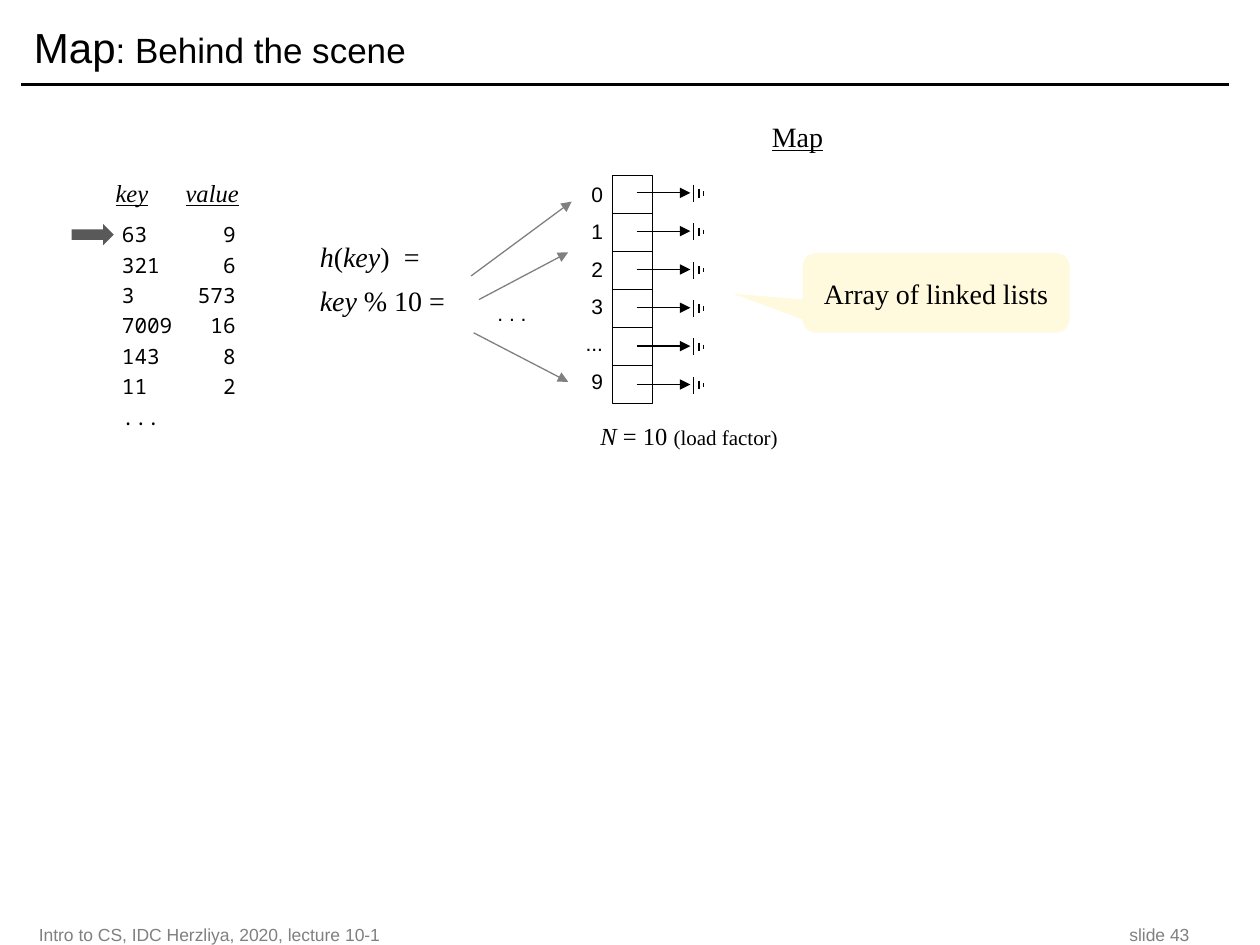
from lxml import etree
from pptx import Presentation
from pptx.dml.color import RGBColor
from pptx.enum import shapes, text
from pptx.oxml import ns
from pptx.util import Pt

BLACK = RGBColor(0, 0, 0)
GRAY = RGBColor(0x80, 0x80, 0x80)
DARK_GRAY = RGBColor(0x59, 0x59, 0x59)
CREAM = RGBColor(0xFF, 0xF9, 0xDD)
SANS, SERIF, MONO = "Arial", "Times New Roman", "Noto Sans Mono"
ENTRIES = [("63", "9"), ("321", "6"), ("3", "573"), ("7009", "16"), ("143", "8"), ("11", "2")]
BUCKETS = ["0", "1", "2", "3", "...", "9"]
ALIGN = text.PP_ALIGN
SHAPE = shapes.MSO_SHAPE


def add_tab(paragraph, position, alignment):
    tabs = etree.SubElement(paragraph._p.get_or_add_pPr(), ns.qn("a:tabLst"))
    etree.SubElement(tabs, ns.qn("a:tab"), pos=str(Pt(position)), algn=alignment)


def write(frame, paragraphs, font, size, color=BLACK, align=ALIGN.LEFT, space=0,
          tab=None, insets=(7.2, 3.6, 7.2, 3.6), anchor=text.MSO_ANCHOR.TOP):
    frame.word_wrap = True
    frame.auto_size = text.MSO_AUTO_SIZE.NONE
    frame.vertical_anchor = anchor
    frame.margin_left, frame.margin_top, frame.margin_right, frame.margin_bottom = map(Pt, insets)
    for index, runs in enumerate(paragraphs):
        paragraph = frame.add_paragraph() if index else frame.paragraphs[0]
        paragraph.alignment = align
        paragraph.space_before = Pt(space if index else 0)
        if tab:
            add_tab(paragraph, *tab)
        for content, style, *own_size in runs:
            run = paragraph.add_run()
            run.text = content
            run.font.name = font
            run.font.size = Pt(own_size[0] if own_size else size)
            run.font.color.rgb = color
            run.font.italic = "i" in style
            run.font.underline = "u" in style


def add_text(slide, box, paragraphs, font, size, **options):
    frame = slide.shapes.add_textbox(*map(Pt, box)).text_frame
    write(frame, paragraphs, font, size, **options)
    return frame


def add_shape(slide, kind, box, fill=None, line=None):
    shape = slide.shapes.add_shape(kind, *map(Pt, box))
    shape.shadow.inherit = False
    if fill is None:
        shape.fill.background()
    else:
        shape.fill.solid()
        shape.fill.fore_color.rgb = fill
    if line is None:
        shape.line.fill.background()
    else:
        shape.line.color.rgb = line
        shape.line.width = Pt(0.75)
    return shape


def add_line(slide, x1, y1, x2, y2, color=BLACK, width=0.75, arrow=False):
    line = slide.shapes.add_connector(shapes.MSO_CONNECTOR.STRAIGHT, *map(Pt, (x1, y1, x2, y2)))
    line.line.color.rgb = color
    line.line.width = Pt(width)
    if arrow:
        etree.SubElement(line.line._get_or_add_ln(), ns.qn("a:tailEnd"), type="triangle")
    etree.SubElement(line._element.spPr, ns.qn("a:effectLst"))


def add_heading(slide, left, top, width, height):
    title = slide.shapes.title
    title.left, title.top, title.width, title.height = map(Pt, (left, top, width, height))
    write(title.text_frame, [[("Map", "", 24), (": Behind the scene", "")]], SANS, 20,
          anchor=text.MSO_ANCHOR.MIDDLE)
    line_y = top + height + 0.6
    add_line(slide, left, line_y, left + width, line_y, width=2)


def add_footer(slide, box):
    add_text(slide, box, [[("Intro to CS, IDC Herzliya, 2020, lecture 10-1\tslide 43", "")]],
             SANS, 10, color=GRAY, tab=(657.5, "r"), anchor=text.MSO_ANCHOR.MIDDLE)


def add_entries(slide, left, top):
    header = add_text(slide, (left + 18, top, 228, 24),
                      [[("key", "iu"), ("\t", "i"), ("value", "iu")]],
                      SERIF, 14, tab=(40, "l"))
    header.paragraphs[0].line_spacing = 0.8
    add_shape(slide, SHAPE.RIGHT_ARROW, (left, top + 26.6, 24, 12), DARK_GRAY)
    rows = [[(f"{key}\t{value}", "")] for key, value in ENTRIES] + [[("...", "")]]
    add_text(slide, (left + 21.6, top + 21.6, 190, 176), rows, MONO, 12, space=3, tab=(65, "r"))


def add_hash_function(slide, left, top):
    add_text(slide, (left, top + 18, 92, 52),
             [[("h", "i"), ("(", ""), ("key", "i"), (")\t=", "")],
              [("key", "i"), (" % 10 =", "")]], SERIF, 16, space=6, tab=(48, "l"))
    for x1, y1, x2, y2 in [(93.5, 42.5, 151, 0), (98, 56, 149, 29), (95, 75, 149, 103)]:
        add_line(slide, left + x1, top + y1, left + x2, top + y2, GRAY, arrow=True)
    add_text(slide, (left + 95, top + 53.3, 36, 21.6), [[(". . .", "")]], SANS, 12,
             align=ALIGN.RIGHT, insets=(0, 3.6, 5.76, 3.6))


def add_null_list(slide, left, middle):
    add_line(slide, left, middle, left + 30.7, middle, arrow=True)
    for x, height in [(32.4, 9.6), (35.7, 4.8), (38.4, 2.4)]:
        add_line(slide, left + x, middle + 0.4 - height / 2, left + x, middle + 0.4 + height / 2)


def add_map(slide, left, top):
    width, height = 23, 21.75
    heading = add_text(slide, (left + 84, top - 31.7, 62, 24), [[("Map", "u")]], SERIF, 16)
    heading.paragraphs[0].line_spacing = 0.8
    for index, label in enumerate(BUCKETS):
        add_shape(slide, SHAPE.RECTANGLE, (left, top + index * height, width, height), line=BLACK)
        add_text(slide, (left - 35.6, top + index * 21.35, 36, 21.6), [[(label, "")]], SANS, 12,
                 align=ALIGN.RIGHT, insets=(0, 3.6, 5.76, 3.6))
        add_null_list(slide, left + 13.8, top + 10.1 + index * 21.9)
    add_text(slide, (left - 14, top + 136.8, 118, 24.5),
             [[("N", "i"), (" = 10 ", ""), ("(load factor)", "", 12)]], SERIF, 14)


def add_callout(slide, box):
    callout = add_shape(slide, SHAPE.ROUNDED_RECTANGULAR_CALLOUT, box, CREAM)
    for index, value in enumerate([-0.76, 0.01, 0.17]):
        callout.adjustments[index] = value
    write(callout.text_frame, [[("Array of linked lists", "")]], SERIF, 16,
          align=ALIGN.CENTER, anchor=text.MSO_ANCHOR.MIDDLE)


def main():
    presentation = Presentation()
    presentation.slide_width, presentation.slide_height = Pt(720), Pt(540)
    slide = presentation.slides.add_slide(presentation.slide_layouts[5])
    add_heading(slide, 12.2, 5.8, 690, 41.8)
    add_footer(slide, (15.1, 526.3, 684, 15.8))
    add_entries(slide, 41, 101.5)
    add_hash_function(slide, 175.7, 115.2)
    add_map(slide, 350, 100.1)
    add_callout(slide, (458.6, 144.7, 152.6, 45.4))
    presentation.save("out.pptx")


if __name__ == "__main__":
    main()
